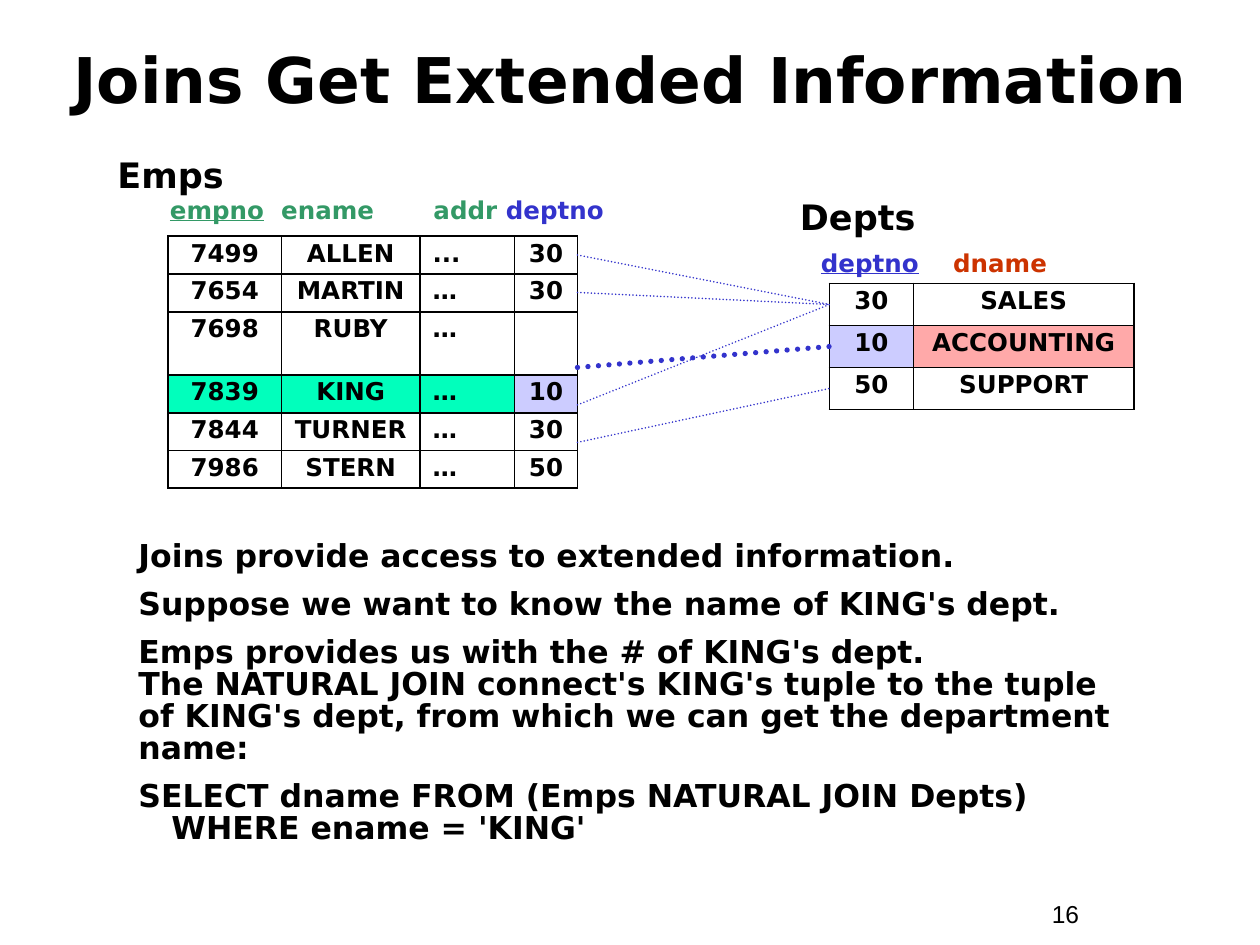
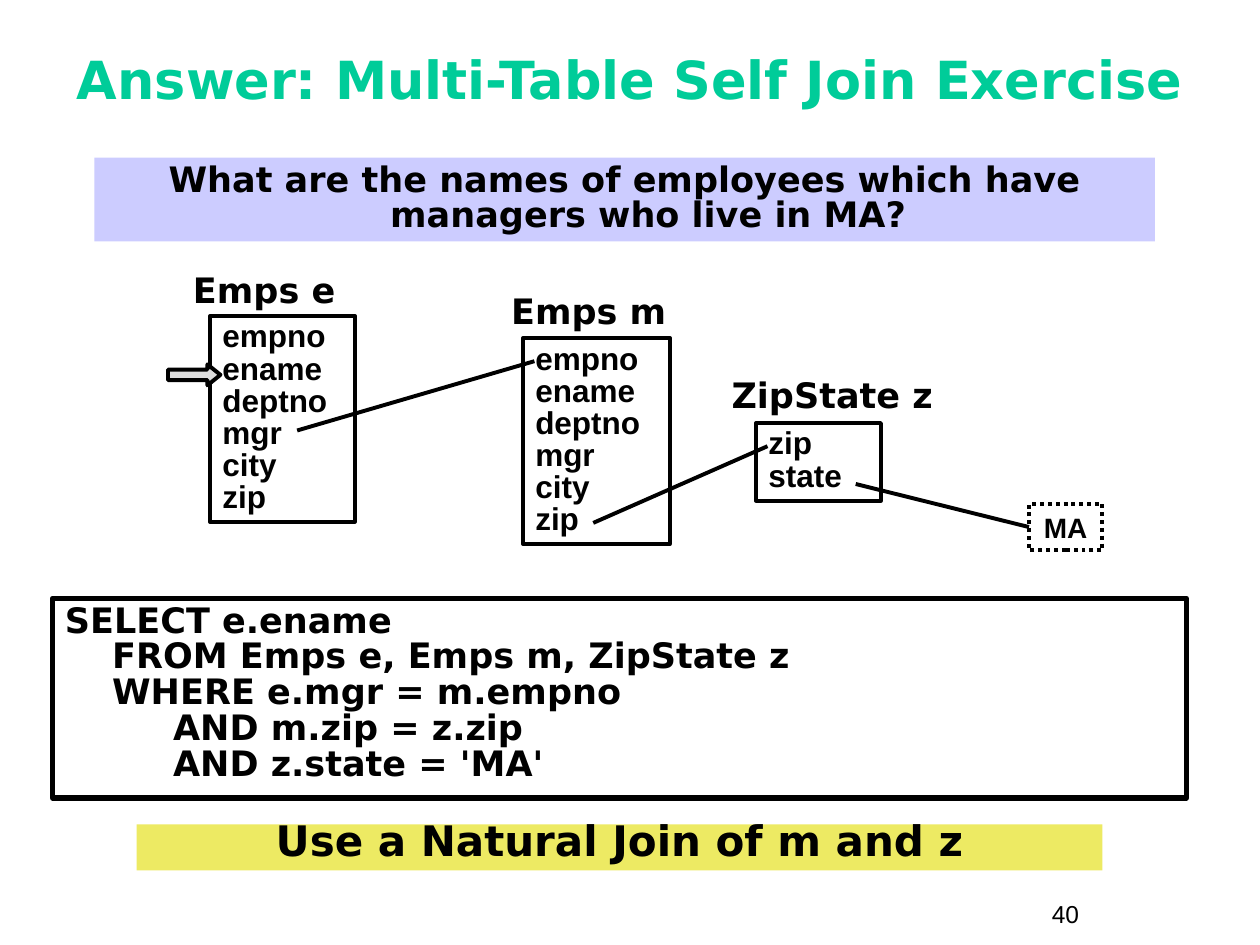
"""Build two slides on SQL joins: extended information and a self join answer."""
from dataclasses import dataclass

from lxml.etree import SubElement as Sub
from pptx import Presentation
from pptx.dml.color import RGBColor as Rgb
from pptx.enum.dml import MSO_LINE as Dash
from pptx.enum.shapes import MSO_CONNECTOR as Link, MSO_SHAPE as Kind
from pptx.enum.text import MSO_ANCHOR as Anchor, PP_ALIGN as Align
from pptx.oxml.ns import qn
from pptx.util import Inches, Pt


@dataclass(frozen=True)
class Theme:
    black: str = "000000"
    mint: str = "00CC99"
    green: str = "339966"
    blue: str = "3333CC"
    red: str = "CC3300"
    lilac: str = "CCCCFF"
    pink: str = "FFA9A9"
    bright: str = "01FFBC"
    grey: str = "DDDDDD"
    yellow: str = "EDEA63"
    heading_font: str = "DejaVu Sans"
    list_font: str = "Arial"
    title: int = 36
    long_title: int = 30
    hint: int = 24
    label: int = 20
    body: int = 18
    value: int = 16
    small: int = 14
    tight: float = 0.85


theme = Theme()
presentation = Presentation()
presentation.slide_width = Inches(10)
presentation.slide_height = Inches(7.5)
UNIT = presentation.slide_width / 120


def write(frame, paragraphs, size, colour=theme.black, font=theme.heading_font, bold=True,
          align=Align.LEFT, spacing=1.0, before=0, hanging=0, tabs=()):
    """Fill a text frame; a paragraph is a string or a list of (text, colour, underline) runs."""
    frame.word_wrap = True
    for index, content in enumerate(paragraphs):
        paragraph = frame.add_paragraph() if index else frame.paragraphs[0]
        paragraph.alignment = align
        paragraph.line_spacing = spacing
        paragraph.space_before = Pt(before if index else 0)
        properties = paragraph._p.get_or_add_pPr()
        if hanging:
            properties.set("marL", str(int(hanging * UNIT)))
            properties.set("indent", str(int(-hanging * UNIT)))
        if tabs:
            stops = Sub(properties, qn("a:tabLst"))
            for stop in tabs:
                Sub(stops, qn("a:tab"), pos=str(int(stop * UNIT)), algn="l")
        runs = [(content, colour, False)] if isinstance(content, str) else content
        for text, run_colour, underline in runs:
            for number, line in enumerate(text.split("\n")):
                if number:
                    paragraph.add_line_break()
                run = paragraph.add_run()
                run.text = line
                run.font.name = font
                run.font.size = Pt(size)
                run.font.bold = bold
                run.font.underline = underline
                run.font.color.rgb = Rgb.from_string(run_colour)


def add_box(slide, area, paragraphs=(), size=theme.label, fill=None, outline=0,
            kind=Kind.RECTANGLE, anchor=Anchor.TOP, **style):
    """Place a box given in grid units, with optional fill, outline and text."""
    shape = slide.shapes.add_shape(kind, *(int(length * UNIT) for length in area))
    shape.shadow.inherit = False
    if fill:
        shape.fill.solid()
        shape.fill.fore_color.rgb = Rgb.from_string(fill)
    else:
        shape.fill.background()
    if outline:
        shape.line.color.rgb = Rgb.from_string(theme.black)
        shape.line.width = Pt(outline)
    else:
        shape.line.fill.background()
    shape.text_frame.vertical_anchor = anchor
    write(shape.text_frame, paragraphs, size, **style)
    return shape


slides = []
for title, size, colour, number in [
    ("Joins Get Extended Information", theme.title, theme.black, "16"),
    ("Answer: Multi-Table Self Join Exercise", theme.long_title, theme.mint, "40"),
]:
    slide = presentation.slides.add_slide(presentation.slide_layouts[6])
    add_box(slide, (4, 2, 112, 11), [title], size, colour=colour,
            align=Align.CENTER, anchor=Anchor.MIDDLE)
    add_box(slide, (99, 85, 11, 4), [number], theme.small, font=theme.list_font, bold=False)
    slides.append(slide)
joins, answer = slides

for slide, label, left, top, width in [
    (joins, "Emps", 10, 14, 26), (joins, "Depts", 75, 18, 26),
    (answer, "Emps e", 17.2, 25, 18), (answer, "Emps m", 47.5, 27, 18),
    (answer, "ZipState z", 68.5, 35, 23.5),
]:
    add_box(slide, (left, top, width, 5.25), [label])

add_box(joins, (15, 18, 45, 4), [[
    ("empno", theme.green, True), ("\tename\taddr\t", theme.green, False),
    ("deptno", theme.blue, False)]], theme.small, tabs=(10.6, 25.1, 32))
add_box(joins, (77, 23, 30, 4), [[
    ("deptno", theme.blue, True), ("\t", theme.black, False),
    ("dname", theme.red, False), ("\t", theme.black, True)]], theme.small, tabs=(12.6, 23.1))

emps_rows = [
    ("7499", "ALLEN", "...", "30"), ("7654", "MARTIN", "…", "30"),
    ("7698", "RUBY", "…", ""), ("7839", "KING", "…", "10"),
    ("7844", "TURNER", "…", "30"), ("7986", "STERN", "…", "50"),
]
depts_rows = [("30", "SALES"), ("10", "ACCOUNTING"), ("50", "SUPPORT")]
king_fills = [theme.bright] * 3 + [theme.lilac]
for left, top, widths, heights, rows, marked_row, fills in [
    (16, 22.5, (10.8, 13.2, 9, 6), (3.6, 3.6, 6, 3.6, 3.6, 3.6), emps_rows, 3, king_fills),
    (79, 27, (8, 21), (4, 4, 4), depts_rows, 1, [theme.lilac, theme.pink]),
]:
    area = (int(length * UNIT) for length in (left, top, sum(widths), sum(heights)))
    table = joins.shapes.add_table(len(rows), len(widths), *area).table
    table.first_row = table.horz_banding = False
    for column, width in zip(table.columns, widths):
        column.width = int(width * UNIT)
    for row_index, values in enumerate(rows):
        table.rows[row_index].height = int(heights[row_index] * UNIT)
        for column_index, value in enumerate(values):
            cell = table.cell(row_index, column_index)
            if value:
                write(cell.text_frame, [value], theme.small, spacing=theme.tight,
                      align=Align.LEFT if value in ("...", "…") else Align.CENTER)
            properties = cell._tc.get_or_add_tcPr()
            for side in ("a:lnL", "a:lnR", "a:lnT", "a:lnB"):
                border = Sub(properties, qn(side), w=str(Pt(1.08)))
                Sub(Sub(border, qn("a:solidFill")), qn("a:srgbClr"), val=theme.black)
            if row_index == marked_row:
                cell.fill.solid()
                cell.fill.fore_color.rgb = Rgb.from_string(fills[column_index])
            else:
                cell.fill.background()

add_box(joins, (12, 51, 98, 27), [
    "Joins provide access to extended information.",
    "Suppose we want to know the name of KING's dept.",
    "Emps provides us with the # of KING's dept.\nThe NATURAL JOIN connect's KING's tuple "
    "to the tuple of KING's dept, from which we can get the department name:",
    "SELECT dname FROM (Emps NATURAL JOIN Depts)\n   WHERE ename = 'KING'",
], theme.body, spacing=theme.tight, before=9)

add_box(answer, (9, 15, 101, 8),
        ["What are the names of employees which have managers who live in MA?"],
        fill=theme.lilac, align=Align.CENTER, spacing=theme.tight, hanging=4.5)
emps_fields = ["empno", "ename", "deptno", "mgr", "city", "zip"]
for area, fields in [
    ((20, 30.1, 13.8, 19.6), emps_fields),
    ((49.8, 32.2, 14, 19.6), emps_fields),
    ((72, 40.3, 11.9, 7.4), ["zip", "state"]),
]:
    add_box(answer, area, fields, theme.body, outline=2.25,
            font=theme.list_font, spacing=theme.tight)
state_value = add_box(answer, (98, 48, 7, 4.4), ["MA"], theme.value, outline=2.25,
                      font=theme.list_font, align=Align.CENTER)
state_value.line.dash_style = Dash.ROUND_DOT
add_box(answer, (5, 57, 108, 19), [
    "SELECT e.ename\nFROM Emps e, Emps m, ZipState z\nWHERE e.mgr = m.empno\n"
    "     AND m.zip = z.zip\n     AND z.state = 'MA'",
], outline=3, spacing=theme.tight, hanging=4.5)
arrow = add_box(answer, (16, 34.7, 5, 2), fill=theme.grey, outline=2.25, kind=Kind.RIGHT_ARROW)
arrow.adjustments[0], arrow.adjustments[1] = 0.5, 0.62
add_box(answer, (13, 78.5, 92, 4.4), ["Use a Natural Join of m and z"], theme.hint,
        fill=theme.yellow, align=Align.CENTER, spacing=0.65, hanging=4.5)

links = [
    (joins, (55, 22.5 + 3.57 * (emp + 0.5)), (79, 27 + 4 * (dept + 0.5)), theme.blue, width)
    for emp, dept, width in [(0, 0, 1), (1, 0, 1), (4, 0, 1), (3, 1, 3), (5, 2, 1)]
] + [
    (answer, start, end, theme.black, 2.25)
    for start, end in [((56.5, 49.8), (73.1, 42.5)), ((50.9, 34.4), (28.3, 41)),
                       ((81.5, 46.1), (98, 50.2))]
]
for slide, start, end, colour, width in links:
    points = (int(length * UNIT) for length in start + end)
    connector = slide.shapes.add_connector(Link.STRAIGHT, *points)
    connector.line.color.rgb = Rgb.from_string(colour)
    connector.line.width = Pt(width)
    if slide is joins:
        connector.line.dash_style = Dash.ROUND_DOT
        connector.line._get_or_add_ln().set("cap", "rnd")
    Sub(connector._element.spPr, qn("a:effectLst"))
connector.end_connect(state_value, 1)

presentation.save("out.pptx")
